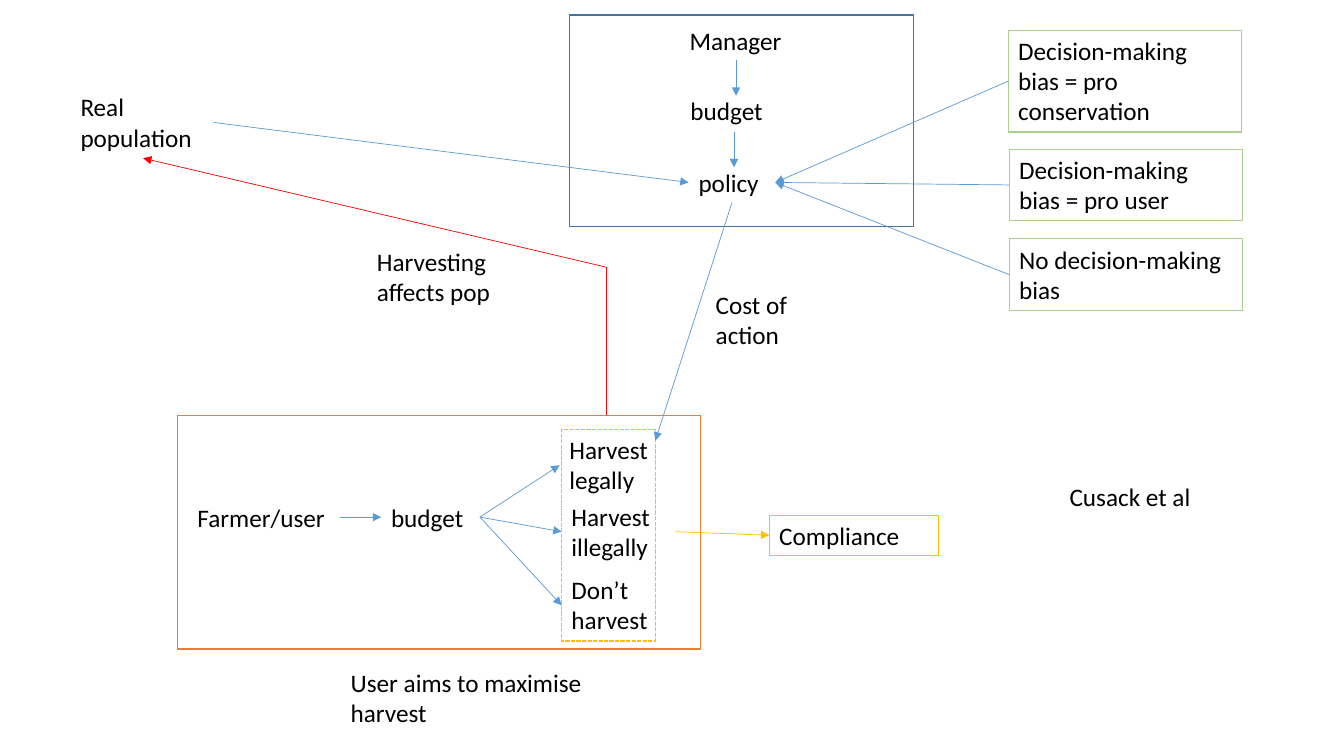
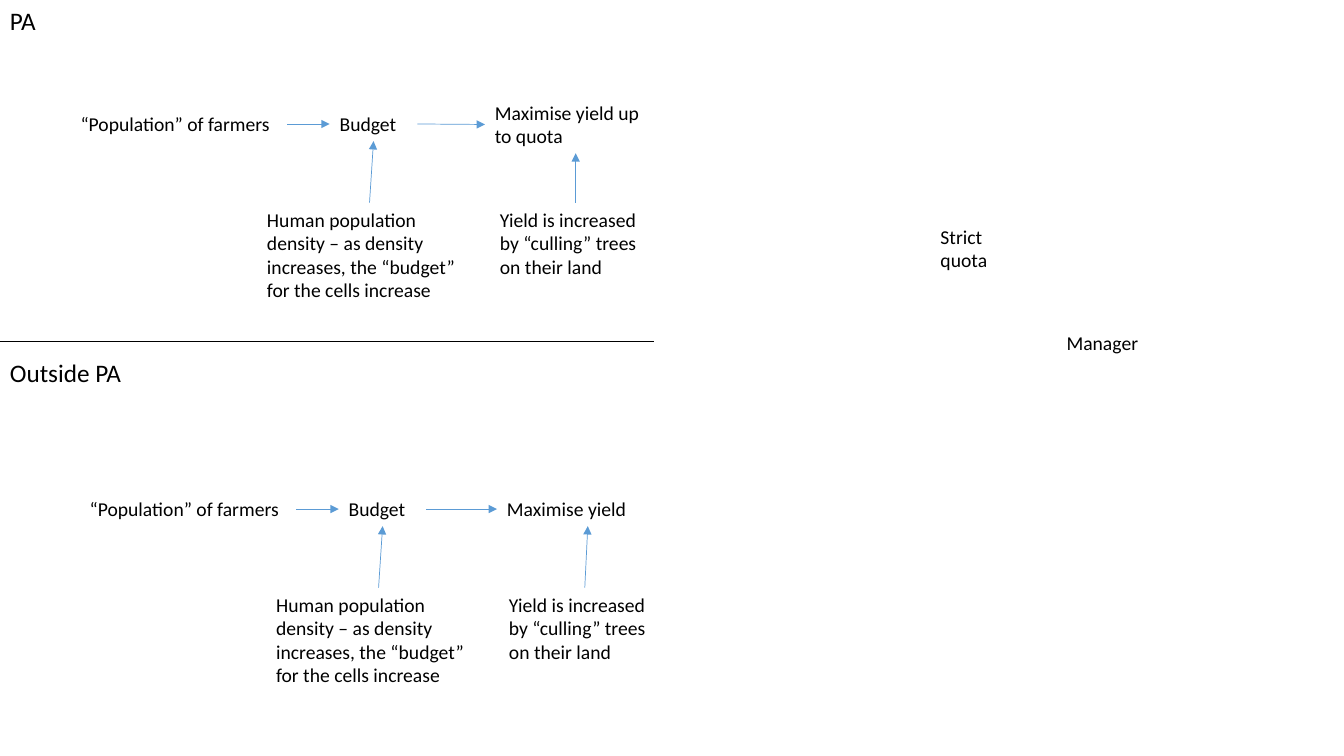
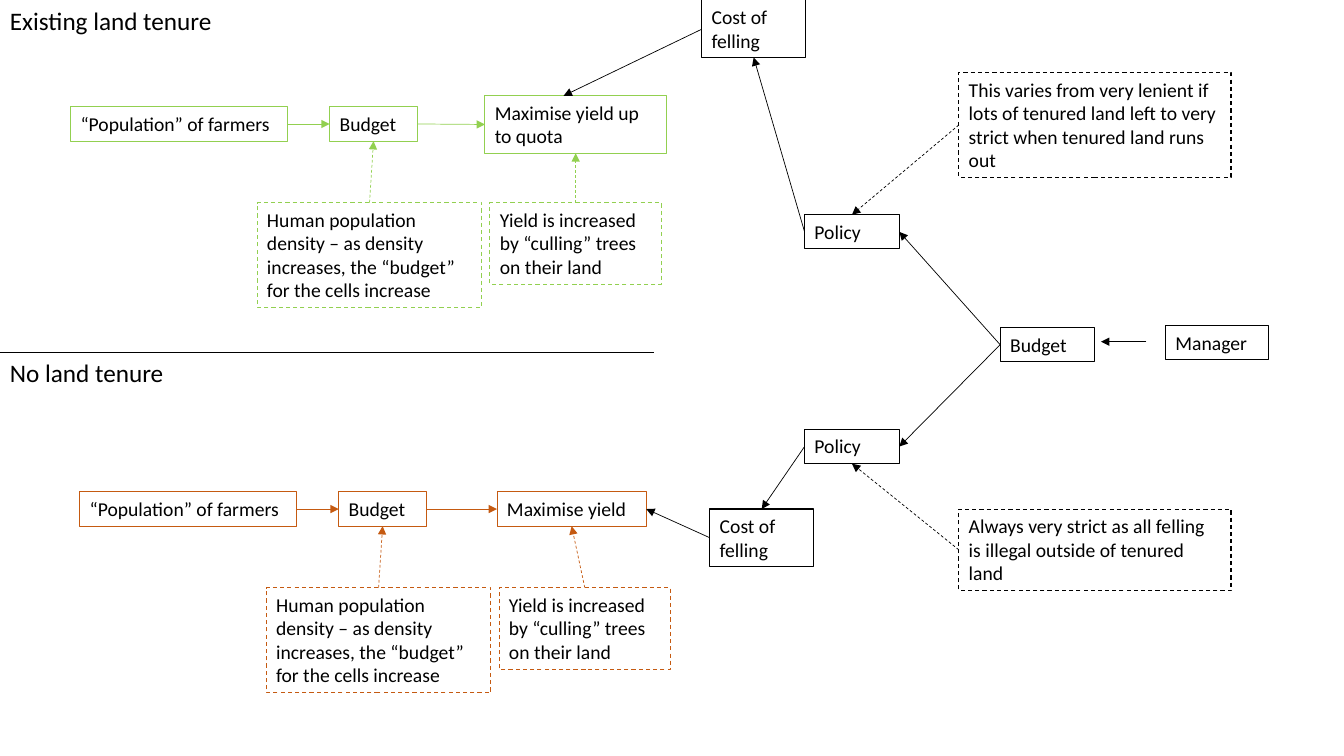
from lxml import etree
from pptx import Presentation
from pptx.dml.color import RGBColor
from pptx.enum.dml import MSO_LINE
from pptx.enum.shapes import MSO_CONNECTOR, MSO_SHAPE
from pptx.enum.text import MSO_ANCHOR, MSO_AUTO_SIZE, PP_ALIGN
from pptx.oxml.ns import qn
from pptx.util import Inches, Pt

RECTANGLE = MSO_SHAPE.RECTANGLE
STRAIGHT = MSO_CONNECTOR.STRAIGHT
DASH, SHORT_DASH = MSO_LINE.DASH, MSO_LINE.SQUARE_DOT
TOP, LEFT, BOTTOM, RIGHT = range(4)

FONT = "Calibri"
LARGE, SMALL = 18, 14
BLANK_LAYOUT = 6
BLACK, BLUE, NAVY, RED = "000000", "5B9BD5", "43739E", "FF0000"
ORANGE, RUST, GOLD = "ED7D31", "C55A11", "FFC000"
PALE_GREEN, GREEN = "A9D18E", "92D050"


def colour(code):
    """Turn a hex string into a colour."""
    return RGBColor.from_string(code)


def style_line(line, code, width, dash=None):
    """Set the colour, width and dash of a line."""
    line.color.rgb = colour(code)
    line.width = Pt(width)
    if dash is not None:
        line.dash_style = dash


def add_frame(page, place, code, width=1, dash=None):
    """Add an unfilled rectangle at (left, top, width, height)."""
    frame = page.shapes.add_shape(RECTANGLE, *map(Inches, place))
    frame.shadow.inherit = False
    frame.fill.background()
    style_line(frame.line, code, width, dash)
    return frame


def add_label(page, text, place, size, outline=None, dash=None):
    """Add left-aligned text, inside an outline when a colour is given."""
    if outline:
        box = add_frame(page, place, outline, 0.75, dash)
    else:
        box = page.shapes.add_textbox(*map(Inches, place))
    frame = box.text_frame
    frame.word_wrap = True
    frame.auto_size = MSO_AUTO_SIZE.SHAPE_TO_FIT_TEXT
    frame.vertical_anchor = MSO_ANCHOR.TOP
    frame.text = text
    para = frame.paragraphs[0]
    para.alignment = PP_ALIGN.LEFT
    for span in para.runs:
        span.font.name = FONT
        span.font.size = Pt(size)
        span.font.color.rgb = colour(BLACK)
    return box


def add_line(page, start, end, code, arrow=True, dash=None):
    """Draw a thin line between two points, with an arrowhead at its end."""
    line = page.shapes.add_connector(STRAIGHT, *map(Inches, start + end))
    style_line(line.line, code, 0.5, dash)
    properties = line.element.spPr
    if arrow:
        outline = properties.find(qn("a:ln"))
        etree.SubElement(outline, qn("a:tailEnd"), type="triangle")
    etree.SubElement(properties, qn("a:effectLst"))
    return line


def link(page, source, source_side, target, target_side, code, dash=None):
    """Draw an arrow attached to the sides of two boxes."""
    arrow = add_line(page, (0, 0), (1, 1), code, dash=dash)
    arrow.begin_connect(source, source_side)
    arrow.end_connect(target, target_side)


def add_farmer_chain(page, left, top, goal_text, goal_place, code, outlined):
    """Add the steps from farmers to yield with two notes; return the goal."""
    outline = code if outlined else None
    dash = DASH if outlined else None
    note_top = top + 0.95
    farmers = add_label(page, "“Population” of farmers",
                        (left, top, 2.15, 0.34), SMALL, outline)
    budget = add_label(page, "Budget", (left + 2.57, top, 0.87, 0.34),
                       SMALL, outline)
    goal = add_label(page, goal_text, goal_place, SMALL, outline)
    density = add_label(
        page, "Human population density – as density increases, "
        "the “budget” for the cells increase",
        (left + 1.85, note_top, 2.23, 1.04), SMALL, outline, dash)
    culling = add_label(
        page, "Yield is increased by “culling” trees on their land",
        (left + 4.16, note_top, 1.7, 0.81), SMALL, outline, dash)
    link(page, farmers, RIGHT, budget, LEFT, code)
    link(page, budget, RIGHT, goal, LEFT, code)
    link(page, density, TOP, budget, BOTTOM, code, dash)
    link(page, culling, TOP, goal, BOTTOM, code, dash)
    return goal


def add_farm_halves(page, headings, divider_top, codes, goal_width, outlined):
    """Add two headed farmer chains split by a line; return their goals."""
    for heading, top in zip(headings, (0, 3.5)):
        add_label(page, heading, (0, top, 2.39, 0.4), LARGE)
    add_line(page, (0, divider_top), (6.49, divider_top), BLACK, arrow=False)
    upper = add_farmer_chain(page, 0.7, 1.06, "Maximise yield up to quota",
                             (4.81, 0.95, 1.8, 0.57), codes[0], outlined)
    lower = add_farmer_chain(page, 0.79, 4.88, "Maximise yield",
                             (4.93, 4.88, goal_width, 0.34), codes[1], outlined)
    return upper, lower


def build_overview(page):
    """Show how manager, users and population affect each other."""
    add_frame(page, (5.65, 0.15, 3.41, 2.1), NAVY)
    add_frame(page, (1.76, 4.12, 5.19, 2.32), ORANGE)
    add_frame(page, (5.57, 4.26, 0.93, 2.1), GOLD, dash=SHORT_DASH)

    for text, place in (
        ("Manager", (6.74, 0.2, 1.42, 0.4)),
        ("budget", (6.75, 0.9, 1.13, 0.4)),
        ("Cost of action", (7, 2.82, 1.38, 0.71)),
        ("Harvesting affects pop", (3.64, 2.39, 1.59, 0.71)),
        ("User aims to maximise harvest", (3.38, 6.57, 2.63, 0.71)),
        ("Cusack et al", (10.51, 4.73, 1.8, 0.4)),
    ):
        add_label(page, text, place, LARGE)

    policy = add_label(page, "policy", (6.83, 1.61, 0.86, 0.4), LARGE)
    population = add_label(page, "Real population",
                           (0.7, 0.86, 1.42, 0.71), LARGE)
    link(page, population, RIGHT, policy, LEFT, BLUE)
    for text, place in (
        ("Decision-making bias = pro conservation", (10, 0.3, 2.31, 1.01)),
        ("Decision-making bias = pro user", (10.01, 1.48, 2.31, 0.71)),
        ("No decision-making bias", (10.01, 2.37, 2.31, 0.71)),
    ):
        bias = add_label(page, text, place, LARGE, PALE_GREEN)
        link(page, bias, LEFT, policy, RIGHT, BLUE)

    user = add_label(page, "Farmer/user", (1.86, 4.93, 1.51, 0.4), LARGE)
    budget = add_label(page, "budget", (3.78, 4.93, 0.98, 0.4), LARGE)
    link(page, user, RIGHT, budget, LEFT, BLUE)
    choices = {}
    for text, left, top in (
        ("Harvest legally", 5.55, 4.26),
        ("Harvest illegally", 5.57, 4.92),
        ("Don’t harvest", 5.57, 5.65),
    ):
        choices[text] = add_label(page, text, (left, top, 1.13, 0.71), LARGE)
        link(page, budget, RIGHT, choices[text], LEFT, BLUE)
    compliance = add_label(page, "Compliance", (7.63, 5.11, 1.68, 0.4),
                           LARGE, GOLD)
    link(page, choices["Harvest illegally"], RIGHT, compliance, LEFT, GOLD)

    add_line(page, (7.3, 0.6), (7.3, 0.95), BLUE)
    add_line(page, (7.28, 1.31), (7.28, 1.66), BLUE)
    add_line(page, (7.26, 2.01), (6.5, 4.37), BLUE)
    add_line(page, (6.01, 4.12), (6.01, 2.65), RED, arrow=False)
    add_line(page, (6.01, 2.65), (1.42, 1.57), RED)


def build_protected_area(page):
    """Compare farmers inside and outside the PA."""
    add_farm_halves(page, ("PA", "Outside PA"), 3.39, (BLUE, BLUE), 1.8, False)
    add_label(page, "Strict quota", (9.23, 2.18, 0.94, 0.57), SMALL)
    add_label(page, "Manager", (10.48, 3.23, 1.46, 0.34), SMALL)


def build_land_tenure(page):
    """Compare policy with and without land tenure."""
    _, lower_goal = add_farm_halves(
        page, ("Existing land tenure", "No land tenure"), 3.5,
        (GREEN, RUST), 1.48, True)
    add_label(page, "Manager", (11.56, 3.23, 1.02, 0.34), SMALL, BLACK)
    budget = add_label(page, "Budget", (9.92, 3.25, 0.94, 0.34), SMALL, BLACK)
    add_line(page, (11.37, 3.39), (10.92, 3.39), BLACK)

    costs = []
    for policy_top, note, note_place, note_side, cost_place, cost_side in (
        (2.13, "This varies from very lenient if lots of tenured land left "
         "to very strict when tenured land runs out",
         (9.51, 0.72, 2.7, 1.04), TOP, (6.96, 0, 1.03, 0.57), BOTTOM),
        (4.26, "Always very strict as all felling is illegal outside of "
         "tenured land",
         (9.51, 5.05, 2.7, 0.81), BOTTOM, (7.04, 5.05, 1.03, 0.57), TOP),
    ):
        policy = add_label(page, "Policy", (7.98, policy_top, 0.94, 0.34),
                           SMALL, BLACK)
        remark = add_label(page, note, note_place, SMALL, BLACK, DASH)
        cost = add_label(page, "Cost of felling", cost_place, SMALL, BLACK)
        link(page, budget, LEFT, policy, RIGHT, BLACK)
        link(page, remark, LEFT, policy, note_side, BLACK, DASH)
        link(page, policy, LEFT, cost, cost_side, BLACK)
        costs.append(cost)
    add_line(page, (6.96, 0.29), (5.59, 0.95), BLACK)
    link(page, costs[1], LEFT, lower_goal, RIGHT, BLACK)


def main():
    """Build the deck and save it."""
    deck = Presentation()
    deck.slide_width = Inches(13.33)
    deck.slide_height = Inches(7.5)
    for build in (build_overview, build_protected_area, build_land_tenure):
        build(deck.slides.add_slide(deck.slide_layouts[BLANK_LAYOUT]))
    deck.save("out.pptx")


main()
